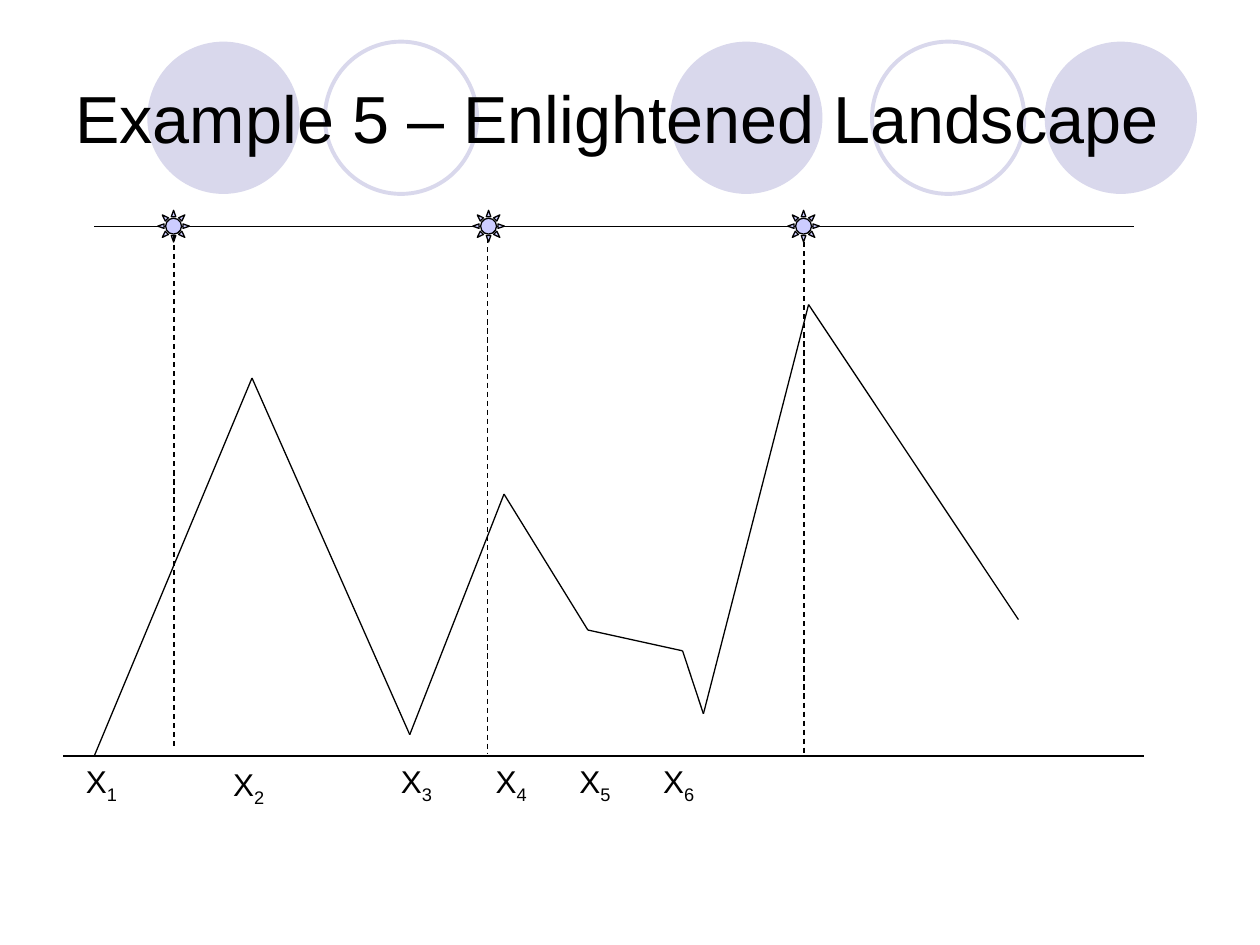
import pptx
import pptx.dml.color
import pptx.enum.dml
import pptx.enum.shapes
import pptx.enum.text
import pptx.oxml.ns
import pptx.util
from lxml import etree

Cm = pptx.util.Cm
Pt = pptx.util.Pt
SHAPES = pptx.enum.shapes.MSO_SHAPE
BLACK, LAVENDER, SUN_BLUE = "000000", "D9D8EC", "CCCCFF"


def colour(value):
    return pptx.dml.color.RGBColor.from_string(value)


def apply(target, values):
    for name, value in values.items():
        setattr(target, name, value)


class Drawing:
    """Holds the style and the slide being drawn; lengths are in centimetres."""

    font_name = "Arial"
    thin, thick = 0.75, 2.25

    def __init__(self, page):
        self.page = page

    def shape(self, kind, left, top, size, fill=None, line=None, width=thin):
        shape = self.page.shapes.add_shape(kind, Cm(left), Cm(top), Cm(size), Cm(size))
        shape.shadow.inherit = False
        if fill:
            shape.fill.solid()
            shape.fill.fore_color.rgb = colour(fill)
        else:
            shape.fill.background()
        if line:
            shape.line.color.rgb = colour(line)
            shape.line.width = Pt(width)
        else:
            shape.line.fill.background()
        return shape

    def line(self, start, end, dash=None):
        line = self.page.shapes.add_connector(
            pptx.enum.shapes.MSO_CONNECTOR.STRAIGHT, *map(Cm, (*start, *end)))
        line.line.color.rgb = colour(BLACK)
        apply(line.line, {"width": Pt(self.thin), "dash_style": dash})
        etree.SubElement(line._element.spPr, pptx.oxml.ns.qn("a:effectLst"))

    def text(self, left, top, width, height, size, words, subscript=None, **frame_format):
        box = self.page.shapes.add_textbox(Cm(left), Cm(top), Cm(width), Cm(height))
        apply(box.text_frame, {"word_wrap": True, **frame_format})
        para = box.text_frame.paragraphs[0]
        for content, baseline in ((words, None), (subscript, "-25000")):
            if content is None:
                continue
            span = para.add_run()
            span.text = content
            apply(span.font, {"name": self.font_name, "size": Pt(size)})
            span.font.color.rgb = colour(BLACK)
            if baseline:
                span._r.get_or_add_rPr().set("baseline", baseline)


def main():
    deck = pptx.Presentation()
    apply(deck, {"slide_width": Cm(25.4), "slide_height": Cm(19.05)})
    drawing = Drawing(deck.slides.add_slide(deck.slide_layouts[6]))

    circle_top, circle_size = 0.84, 3.07
    for left in (2.97, 13.51, 21.06):
        drawing.shape(SHAPES.OVAL, left, circle_top, circle_size, fill=LAVENDER)
    for left in (6.55, 17.58):
        drawing.shape(SHAPES.OVAL, left, circle_top, circle_size,
                      line=LAVENDER, width=drawing.thick)

    drawing.text(1.27, 0.76, 22.86, 3.18, 38, "Example 5 – Enlightened Landscape",
                 vertical_anchor=pptx.enum.text.MSO_ANCHOR.MIDDLE)

    sky, ground = 4.57, 15.24
    drawing.line((1.9, sky), (22.86, sky))
    for index in range(3):
        sun = drawing.shape(SHAPES.SUN, 3.18 + 6.35 * index, 4.24, 0.64,
                            fill=SUN_BLUE, line=BLACK)
        sun.adjustments[0] = 0.25

    for x, top, bottom in ((3.51, 4.75, 15.11), (9.83, 4.8, 15.19), (16.21, 4.88, ground)):
        drawing.line((x, top), (x, bottom), pptx.enum.dml.MSO_LINE.DASH)

    drawing.line((1.27, ground), (23.07, ground))
    landscape = [(1.9, ground), (5.08, 7.62), (8.26, 14.81), (10.16, 9.96), (11.85, 12.7),
                 (13.76, 13.12), (14.18, 14.39), (16.3, 6.14), (20.53, 12.49)]
    for start, end in zip(landscape, landscape[1:]):
        drawing.line(start, end)

    labels = [(1.48, ground), (4.45, 15.29), (7.83, ground),
              (9.74, ground), (11.43, ground), (13.12, ground)]
    for number, (left, top) in enumerate(labels, 1):
        drawing.text(left, top, 1.27, 1.12, 18, "X", str(number),
                     auto_size=pptx.enum.text.MSO_AUTO_SIZE.SHAPE_TO_FIT_TEXT)

    deck.save("out.pptx")


if __name__ == "__main__":
    main()
